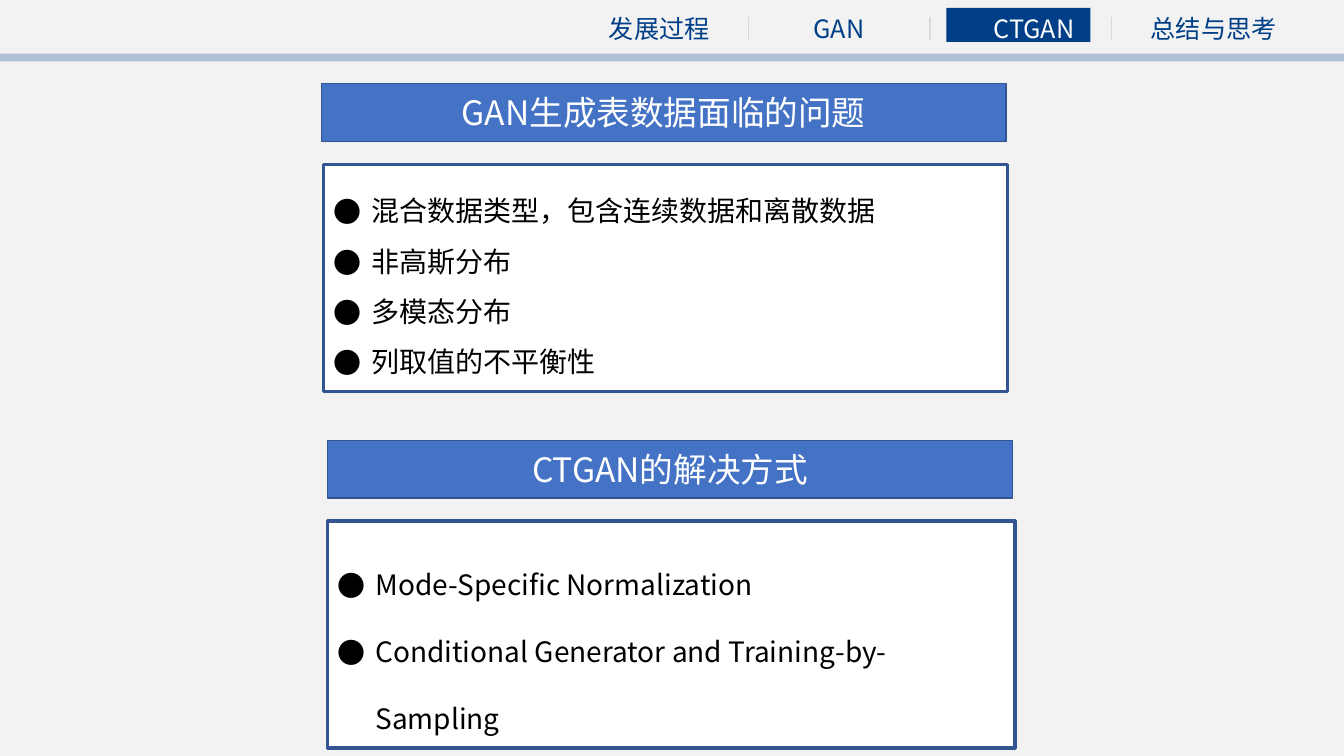
from dataclasses import dataclass

from lxml.etree import SubElement
from pptx import Presentation
from pptx.dml.color import RGBColor
from pptx.enum.shapes import MSO_CONNECTOR as Connector, MSO_SHAPE as Preset
from pptx.enum.text import MSO_ANCHOR as Anchor, MSO_AUTO_SIZE as AutoSize, PP_ALIGN as Align
from pptx.oxml.ns import qn
from pptx.util import Cm, Pt


@dataclass(frozen=True)
class Theme:
    """Colours, type sizes and font of the deck."""
    font: str = "Noto Sans CJK SC"
    page: str = "F2F2F2"
    navy: str = "003F87"
    blue: str = "4472C4"
    border: str = "325491"
    divider: str = "D9D9D9"
    white: str = "FFFFFF"
    black: str = "000000"
    tab_size: int = 18
    heading_size: int = 24
    list_size: int = 20


THEME = Theme()
TABS = ["发展过程", "GAN", "CTGAN", "总结与思考"]
ACTIVE_TAB = "CTGAN"
PROBLEMS = ["混合数据类型，包含连续数据和离散数据", "非高斯分布", "多模态分布", "列取值的不平衡性"]
SOLUTIONS = ["Mode-Specific Normalization", "Conditional Generator and Training-by-Sampling"]


def apply(target, values):
    """Set each attribute of the target from a dict."""
    for name, value in values.items():
        setattr(target, name, value)


def place(box, left, top, width, height):
    """Move and size a box given in centimetres."""
    apply(box, {"left": Cm(left), "top": Cm(top), "width": Cm(width), "height": Cm(height)})


def paint(box, fill, border=None, weight=1):
    """Give a box its solid fill and optional border."""
    box.fill.solid()
    box.fill.fore_color.rgb = RGBColor.from_string(fill)
    if border:
        box.line.color.rgb = RGBColor.from_string(border)
        box.line.width = Pt(weight)
    else:
        box.line.fill.background()


def add_bullet(para):
    """Give a paragraph a hanging round bullet."""
    properties = para._p.get_or_add_pPr()
    properties.set("marL", str(Cm(0.95)))
    properties.set("indent", str(-Cm(0.95)))
    SubElement(properties, qn("a:buFont"), typeface=THEME.font)
    SubElement(properties, qn("a:buChar"), char="●")


def write(box, lines, size, color, align=Align.CENTER, anchor=Anchor.MIDDLE, spacing=1.0, bullet=False):
    """Fill a box with formatted paragraphs."""
    frame = box.text_frame
    apply(frame, {"word_wrap": True, "auto_size": AutoSize.NONE, "vertical_anchor": anchor,
                  "margin_left": Cm(0.25), "margin_right": Cm(0.25),
                  "margin_top": Cm(0.13), "margin_bottom": Cm(0.13)})
    for index, line in enumerate(lines):
        para = frame.add_paragraph() if index else frame.paragraphs[0]
        if bullet:
            add_bullet(para)
        apply(para, {"alignment": align, "line_spacing": spacing,
                     "space_before": Pt(0), "space_after": Pt(0)})
        span = para.add_run()
        span.text = line
        span.font.color.rgb = RGBColor.from_string(color)
        apply(span.font, {"size": Pt(size), "bold": False, "name": THEME.font})
        SubElement(span._r.get_or_add_rPr(), qn("a:ea"), typeface=THEME.font)


def add_block(page, left, top, width, height):
    """Add a plain navy rectangle."""
    block = page.shapes.add_shape(Preset.RECTANGLE, Cm(left), Cm(top), Cm(width), Cm(height))
    block.shadow.inherit = False
    paint(block, THEME.navy)
    return block


def add_divider(page, left, top, height):
    """Add a thin vertical line between two tabs."""
    line = page.shapes.add_connector(Connector.STRAIGHT, Cm(left), Cm(top), Cm(left), Cm(top + height))
    line.line.color.rgb = RGBColor.from_string(THEME.divider)
    line.line.width = Pt(1)
    SubElement(line.element.spPr, qn("a:effectLst"))


def build_navigation(page, left, top):
    """Build the tab row, with the slide title as the active tab."""
    band = add_block(page, 0, top + 1.15, 33.87, 0.2)
    SubElement(band.fill._xPr.find(qn("a:solidFill"))[0], qn("a:alpha"), val="27000")
    for index, label in enumerate(TABS):
        tab_left = left + 4.53 * index
        if label == ACTIVE_TAB:
            highlight = add_block(page, tab_left - 0.25, top, 3.63, 0.86)
            tab = page.shapes.title
            highlight.element.addnext(tab.element)
        else:
            tab = page.shapes.add_textbox(0, 0, 0, 0)
        place(tab, tab_left, top, 3.91 if len(label) > 4 else 3.15, 1.02)
        color = THEME.white if label == ACTIVE_TAB else THEME.navy
        write(tab, [label], THEME.tab_size, color, anchor=Anchor.TOP)
        if index:
            add_divider(page, left + 4.57 * index - 0.74, top + 0.23, 0.59)


def build_panel(heading, body, title, items, left, top, width, shift, spacing):
    """Build a heading bar with a bulleted box below it."""
    place(heading, left, top, 17.25, 1.45)
    paint(heading, THEME.blue, THEME.border)
    write(heading, [title], THEME.heading_size, THEME.white)
    place(body, left + shift, top + 2.03, width, 5.72)
    paint(body, THEME.white, THEME.border, 2.25)
    write(body, items, THEME.list_size, THEME.black, Align.LEFT, spacing=spacing, bullet=True)


def main():
    """Build and save the deck."""
    deck = Presentation()
    apply(deck, {"slide_width": Cm(33.87), "slide_height": Cm(19.05)})
    page = deck.slides.add_slide(deck.slide_layouts.get_by_name("Comparison"))
    page.background.fill.solid()
    page.background.fill.fore_color.rgb = RGBColor.from_string(THEME.page)
    build_navigation(page, 15.04, 0.2)
    holders = page.placeholders
    build_panel(holders[1], holders[2], "GAN生成表数据面临的问题", PROBLEMS, 8.1, 2.11, 17.25, 0.05, 1.5)
    build_panel(holders[3], holders[4], "CTGAN的解决方式", SOLUTIONS, 8.26, 11.1, 17.32, 0, 2.0)
    deck.save("out.pptx")


if __name__ == "__main__":
    main()
